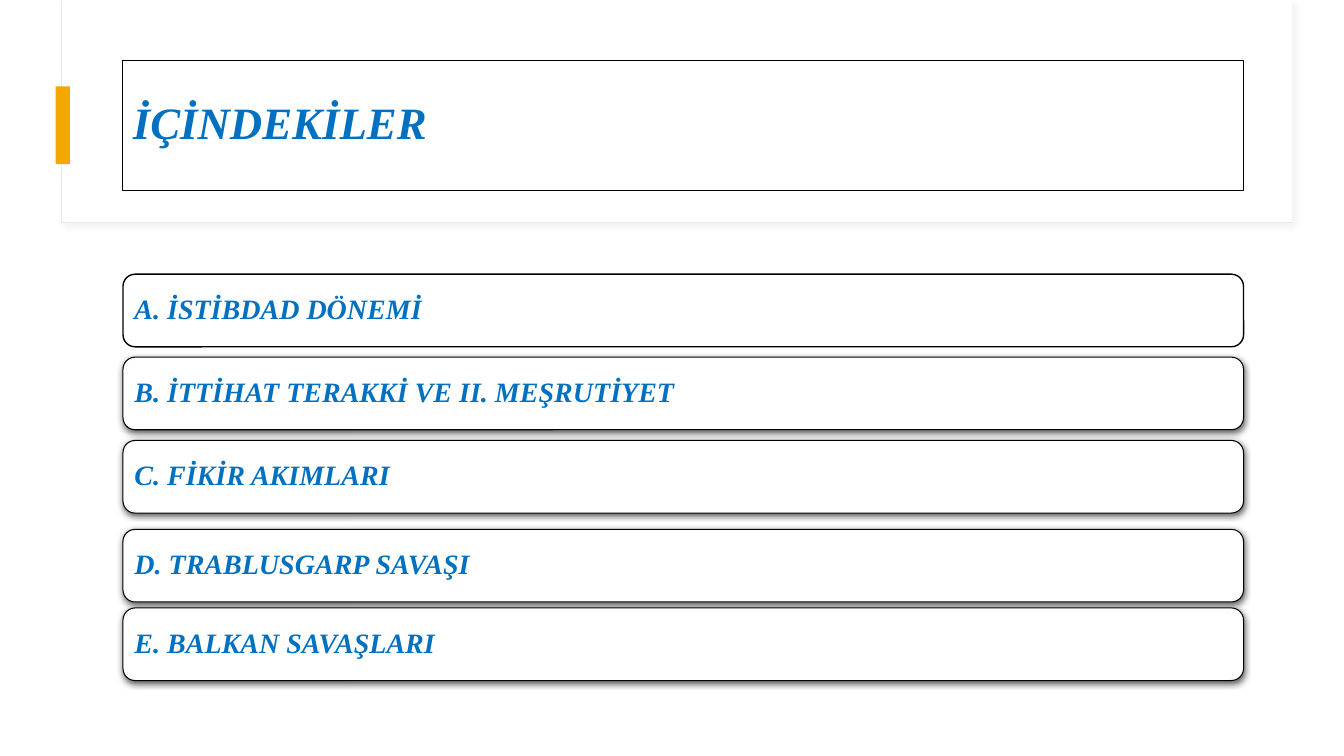
from dataclasses import dataclass
from typing import Optional

from lxml import etree
from pptx import Presentation
from pptx import util as u
from pptx.dml.color import RGBColor
from pptx.enum import shapes, text
from pptx.oxml import ns

RECT = shapes.MSO_SHAPE.RECTANGLE
ROUNDED = shapes.MSO_SHAPE.ROUNDED_RECTANGLE


@dataclass(frozen=True)
class Theme:
    font: str = "Times New Roman"
    ink: str = "0070C0"
    paper: str = "FFFFFF"
    outline: str = "000000"
    frame: str = "E9E9E9"
    frame_shadow: str = "D9D9D9"
    accent: str = "F5A700"
    title_size: float = 32
    item_size: float = 20


@dataclass(frozen=True)
class Shadow:
    """Colour, opacity in percent, blur and distance in points, angle in degrees."""
    color: str
    opacity: int
    blur: float
    distance: float
    angle: int


@dataclass(frozen=True)
class Box:
    """A box placed in centimetres, with its line width in points."""
    left: float
    top: float
    width: float
    height: float
    kind: shapes.MSO_SHAPE = RECT
    fill: Optional[str] = None
    line: Optional[str] = None
    weight: float = 0.75
    shadow: Optional[Shadow] = None


@dataclass(frozen=True)
class Item:
    top: float
    label: str
    weight: float = 0.75
    shadow: Optional[Shadow] = None


THEME = Theme()
FRAME_SHADOW = Shadow(THEME.frame_shadow, 30, 4, 3, 45)
ITEM_SHADOW = Shadow(THEME.outline, 63, 4.5, 1.5, 90)
LEFT, WIDTH, ITEM_HEIGHT = 3.1, 28.24, 1.83

DECOR = [
    Box(1.55, 0, 31.01, 5.61, fill=THEME.paper, line=THEME.frame, shadow=FRAME_SHADOW),
    Box(1.57, 0, 30.99, 5.59, fill=THEME.paper),
    Box(1.4, 2.18, 0.36, 1.96, fill=THEME.accent),
]
TITLE = Box(LEFT, 1.52, WIDTH, 3.28, line=THEME.outline)
ITEMS = [
    Item(6.91, "A. İSTİBDAD DÖNEMİ", weight=1),
    Item(9.0, "B. İTTİHAT TERAKKİ VE II. MEŞRUTİYET", shadow=ITEM_SHADOW),
    Item(11.1, "C. FİKİR AKIMLARI", shadow=ITEM_SHADOW),
    Item(13.34, "D. TRABLUSGARP SAVAŞI", shadow=ITEM_SHADOW),
    Item(15.32, "E. BALKAN SAVAŞLARI", shadow=ITEM_SHADOW),
]


def add_shadow(sp, shadow: Shadow) -> None:
    effects = sp._element.spPr.find(ns.qn("a:effectLst"))
    outer = etree.SubElement(
        effects, ns.qn("a:outerShdw"), blurRad=str(u.Pt(shadow.blur)),
        dist=str(u.Pt(shadow.distance)), dir=str(shadow.angle * 60000),
        algn="ctr", rotWithShape="0")
    color = etree.SubElement(outer, ns.qn("a:srgbClr"), val=shadow.color)
    etree.SubElement(color, ns.qn("a:alpha"), val=str(shadow.opacity * 1000))


def draw_box(s, box: Box):
    sp = s.shapes.add_shape(box.kind, u.Cm(box.left), u.Cm(box.top),
                            u.Cm(box.width), u.Cm(box.height))
    sp.shadow.inherit = False
    if box.fill:
        sp.fill.solid()
        sp.fill.fore_color.rgb = RGBColor.from_string(box.fill)
    else:
        sp.fill.background()
    if box.line:
        sp.line.color.rgb = RGBColor.from_string(box.line)
        sp.line.width = u.Pt(box.weight)
    else:
        sp.line.fill.background()
    if box.shadow:
        add_shadow(sp, box.shadow)
    return sp


def write(sp, words: str, *, size: float, inset: float) -> None:
    tf = sp.text_frame
    tf.word_wrap = True
    tf.vertical_anchor = text.MSO_ANCHOR.MIDDLE
    tf.margin_left = tf.margin_right = u.Cm(inset)
    p = tf.paragraphs[0]
    p.alignment = text.PP_ALIGN.LEFT
    p.line_spacing = 0.9
    r = p.add_run()
    r.text = words
    r.font.name = THEME.font
    r.font.size = u.Pt(size)
    r.font.bold = r.font.italic = True
    r.font.color.rgb = RGBColor.from_string(THEME.ink)


def main() -> None:
    prs = Presentation()
    prs.slide_width, prs.slide_height = u.Cm(33.87), u.Cm(19.05)
    s = prs.slides.add_slide(prs.slide_layouts[6])

    for box in DECOR:
        draw_box(s, box)
    write(draw_box(s, TITLE), "İÇİNDEKİLER", size=THEME.title_size, inset=0.25)
    for item in ITEMS:
        sp = draw_box(s, Box(LEFT, item.top, WIDTH, ITEM_HEIGHT, ROUNDED, THEME.paper,
                             THEME.outline, item.weight, item.shadow))
        # A rounded rectangle already insets its text by about 0.09 cm
        write(sp, item.label, size=THEME.item_size, inset=0.2)

    prs.save("out.pptx")


if __name__ == "__main__":
    main()
